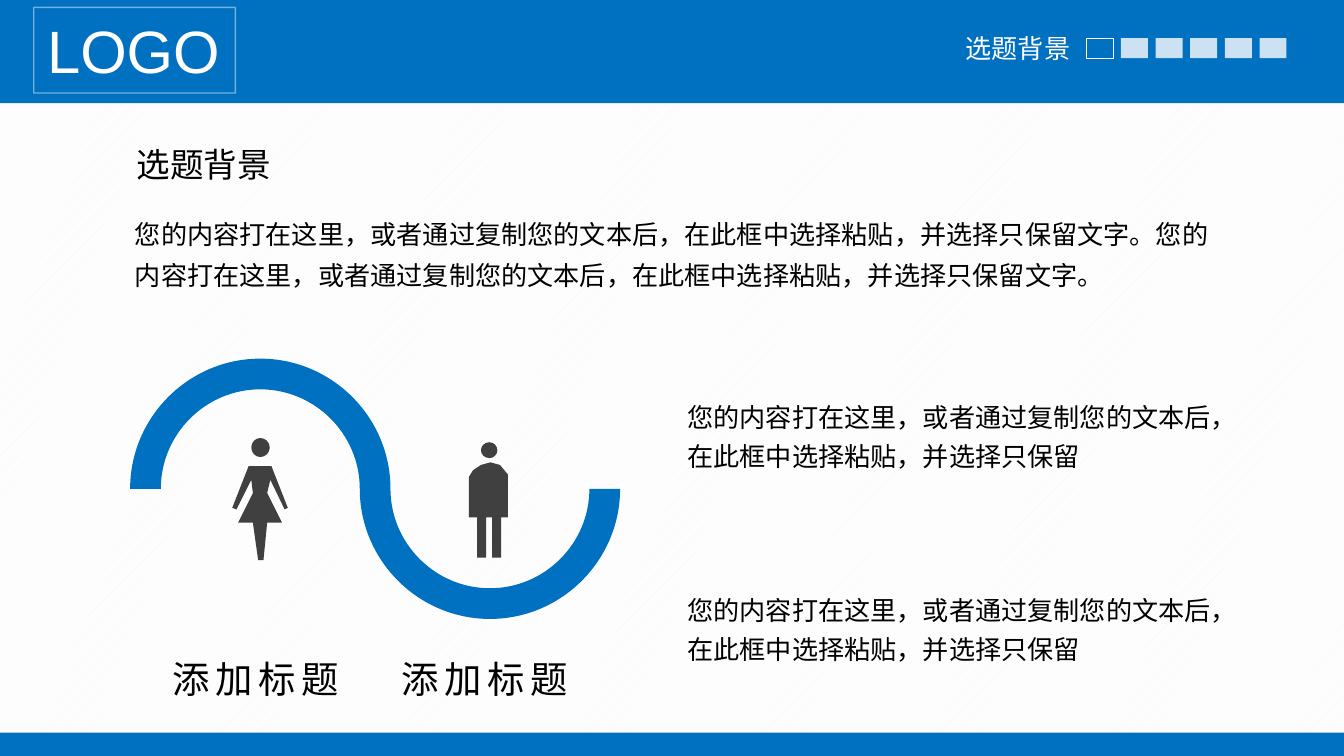
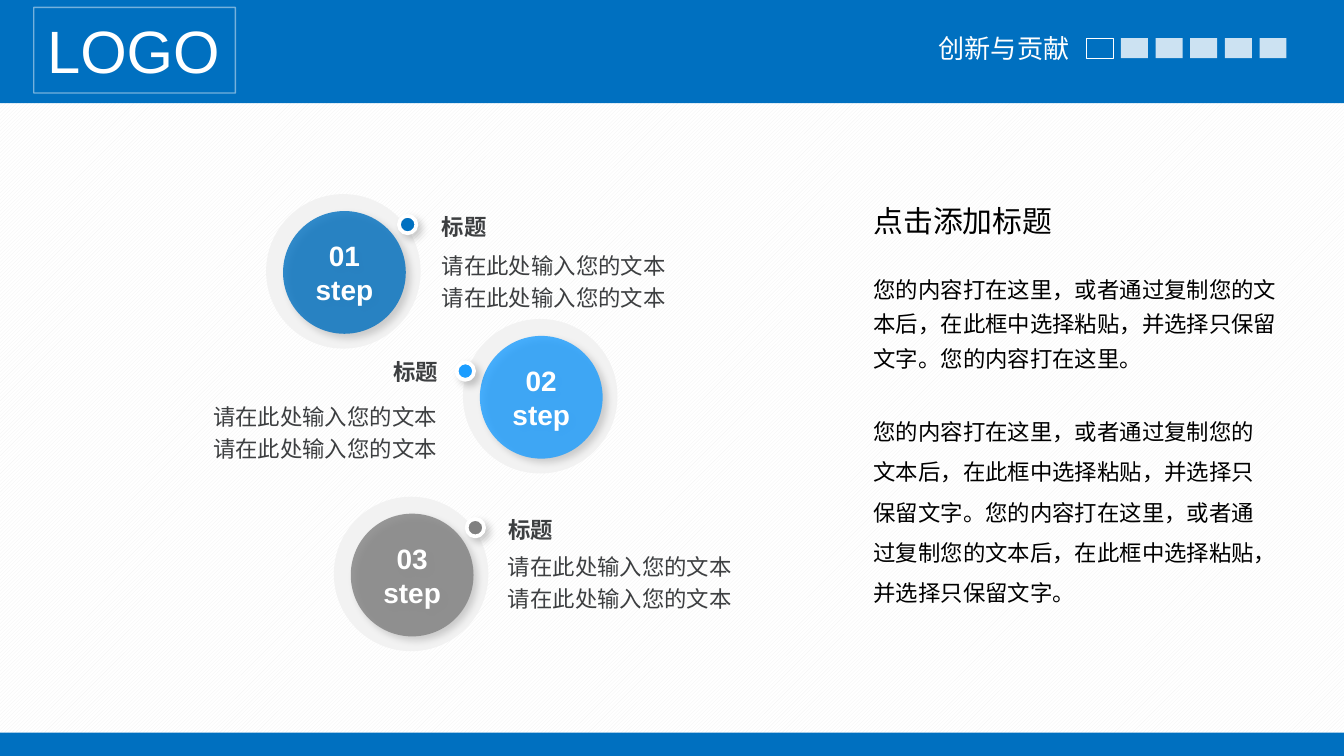
from lxml import etree
from pptx import Presentation
from pptx.dml.color import RGBColor
from pptx.enum.dml import MSO_PATTERN
from pptx.enum.shapes import MSO_SHAPE
from pptx.enum.text import MSO_ANCHOR, MSO_AUTO_SIZE, PP_ALIGN
from pptx.oxml.ns import qn
from pptx.util import Cm, Pt

RECT, OVAL = MSO_SHAPE.RECTANGLE, MSO_SHAPE.OVAL
LEFT, CENTER, RIGHT = PP_ALIGN.LEFT, PP_ALIGN.CENTER, PP_ALIGN.RIGHT
TOP, MIDDLE = MSO_ANCHOR.TOP, MSO_ANCHOR.MIDDLE
FIT, FIXED = MSO_AUTO_SIZE.SHAPE_TO_FIT_TEXT, MSO_AUTO_SIZE.NONE
DIAGONAL = MSO_PATTERN.LIGHT_UPWARD_DIAGONAL

FONT = "Arial"
COLORS = {
    "blue": "0070C0",
    "sky": "1B9DFF",
    "gray": "808080",
    "pale": "F2F2F2",
    "dark": "404040",
    "slate": "3D3F41",
    "black": "000000",
    "white": "FFFFFF",
}
RGB = {name: RGBColor.from_string(value) for name, value in COLORS.items()}
WIDTH, HEIGHT = 25.4, 14.29


def figure(page, kind, at, fill=None, line=None, weight=0.75, alpha=100, shadow=False):
    shape = page.shapes.add_shape(kind, *map(Cm, at))
    shape.shadow.inherit = False
    if fill:
        shape.fill.solid()
        shape.fill.fore_color.rgb = RGB[fill]
    else:
        shape.fill.background()
    if line:
        shape.line.color.rgb = RGB[line]
        shape.line.width = Pt(weight)
    else:
        shape.line.fill.background()
    properties = shape._element.spPr
    if alpha < 100:
        for color in properties.iter(qn("a:srgbClr")):
            etree.SubElement(color, qn("a:alpha"), val=str(alpha * 1000))
    if shadow:
        effects = properties.find(qn("a:effectLst"))
        outer = etree.SubElement(effects, qn("a:outerShdw"), blurRad=str(Pt(4)),
                                 dist=str(Pt(3)), dir="2700000", algn="tl", rotWithShape="0")
        color = etree.SubElement(outer, qn("a:srgbClr"), val=COLORS["black"])
        etree.SubElement(color, qn("a:alpha"), val="20000")
    return shape


def write(box, lines, size, color="black", bold=False, align=LEFT, anchor=TOP,
          spacing=None, inset=(0.25, 0.13), wrap=True, fit=FIXED, tracking=0):
    frame = box.text_frame
    frame.word_wrap = wrap
    frame.auto_size = fit
    frame.vertical_anchor = anchor
    frame.margin_left = frame.margin_right = Cm(inset[0])
    frame.margin_top = frame.margin_bottom = Cm(inset[1])
    for index, line in enumerate(lines):
        para = frame.add_paragraph() if index else frame.paragraphs[0]
        para.alignment = align
        if spacing:
            para.line_spacing = spacing
        span = para.add_run()
        span.text = line
        span.font.name = FONT
        span.font.size = Pt(size)
        span.font.bold = bold
        span.font.color.rgb = RGB[color]
        if tracking:
            span._r.get_or_add_rPr().set("spc", str(tracking * 100))


deck = Presentation()
deck.slide_width, deck.slide_height = Cm(WIDTH), Cm(HEIGHT)
pages = [deck.slides.add_slide(deck.slide_layouts[6]) for section in range(2)]
background_page, steps_page = pages

for top, height in ((0, 1.95), (13.85, 0.44)):
    band = figure(background_page, RECT, (0, top, WIDTH, height), "blue")
    deck.slide_master.shapes._spTree.append(band._element)

for page, section in zip(pages, ("选题背景", "创新与贡献")):
    backdrop = page.background.fill
    backdrop.patterned()
    backdrop.pattern = DIAGONAL
    backdrop.fore_color.rgb = RGB["pale"]
    backdrop.back_color.rgb = RGB["white"]
    label_width = 0.5 + 0.51 * len(section)
    label = page.shapes.add_textbox(Cm(20.54 - label_width), Cm(0.48), Cm(label_width), Cm(0.86))
    write(label, [section], 14, "white", wrap=False, fit=FIT)
    for step in range(6):
        at = (20.53 + 0.655 * step, 0.72, 0.51, 0.38)
        if step:
            figure(page, RECT, at, "white", alpha=80)
        else:
            figure(page, RECT, at, line="white", weight=0.5)
    badge = figure(page, RECT, (0.64, 0.14, 3.81, 1.62), line="white", alpha=46)
    write(badge, ["LOGO"], 32, "white", wrap=False, fit=FIT)

SENTENCE = "您的内容打在这里，或者通过复制您的文本后，在此框中选择粘贴，并选择只保留文字。"
box = background_page.shapes.add_textbox(Cm(2.3), Cm(3.82), Cm(20.83), Cm(1.8))
write(box, [SENTENCE * 2], 14, spacing=1.3, fit=FIT)
box = background_page.shapes.add_textbox(Cm(2.33), Cm(2.59), Cm(3.07), Cm(1.02))
write(box, ["选题背景"], 18, wrap=False, fit=FIT)

OUTER, INNER, AXIS = 2.46, 1.88, 9.24
ARCH = 4.92
BOWL = ARCH + OUTER + INNER
wave = [
    (ARCH - OUTER, AXIS), (ARCH, AXIS - OUTER, "rise"), (ARCH + OUTER, AXIS, "run"),
    (BOWL, AXIS + INNER, "rise"), (BOWL + INNER, AXIS, "run"), (BOWL + OUTER, AXIS),
    (BOWL, AXIS + OUTER, "rise"), (BOWL - OUTER, AXIS, "run"),
    (ARCH, AXIS - INNER, "rise"), (ARCH - INNER, AXIS, "run"),
]
man_body = [
    (9.6, 9.78), (9.47, 9.78), (9.47, 10.54), (9.3, 10.54), (9.3, 9.78), (9.19, 9.78),
    (9.19, 10.54), (9.02, 10.54), (9.02, 9.78), (8.86, 9.78), (8.86, 9.02), (8.94, 8.89),
    (9.09, 8.79), (9.27, 8.74), (9.45, 8.79), (9.6, 8.97),
]
man_head = [
    (9.4, 8.51), (9.25, 8.66, "rise"), (9.09, 8.51, "run"),
    (9.25, 8.36, "rise"), (9.4, 8.51, "run"),
]
woman_body = [
    (5.38, 9.63), (5.44, 9.6), (5.13, 8.81), (4.7, 8.81), (4.39, 9.6), (4.47, 9.63),
    (4.75, 9.07), (4.78, 9.32), (4.5, 9.88), (4.78, 9.88), (4.88, 10.59), (4.98, 10.59),
    (5.05, 9.88), (5.33, 9.88), (5.05, 9.32), (5.11, 9.07),
]
woman_head = [
    (5.1, 8.46), (4.92, 8.64, "rise"), (4.75, 8.46, "run"),
    (4.92, 8.28, "rise"), (5.1, 8.46, "run"),
]
BEND = 0.55
for outlines, color in (
    ([wave], "blue"),
    ([man_body, man_head], "dark"),
    ([woman_body, woman_head], "dark"),
):
    builder = None
    for outline in outlines:
        corners = [(Cm(point[0]), Cm(point[1])) for point in outline]
        if builder:
            builder.move_to(*corners[0])
        else:
            builder = background_page.shapes.build_freeform(*corners[0])
        builder.add_line_segments(corners[1:], close=True)
    shape = builder.convert_to_shape()
    shape.shadow.inherit = False
    shape.fill.solid()
    shape.fill.fore_color.rgb = RGB[color]
    shape.line.fill.background()

    vertices = list(shape._element.iter(qn("a:pt")))
    bends = [point[2] if len(point) > 2 else None for outline in outlines for point in outline]
    places = [(int(vertex.get("x")), int(vertex.get("y"))) for vertex in vertices]
    for index, (vertex, bend) in enumerate(zip(vertices, bends)):
        if not bend:
            continue
        (x1, y1), (x2, y2) = places[index - 1], places[index]
        dx, dy = BEND * (x2 - x1), BEND * (y2 - y1)
        if bend == "rise":
            controls = (x1, y1 + dy), (x2 - dx, y2)
        else:
            controls = (x1 + dx, y1), (x2, y2 - dy)
        segment = vertex.getparent()
        curve = etree.Element(qn("a:cubicBezTo"))
        for x, y in (*controls, (x2, y2)):
            etree.SubElement(curve, qn("a:pt"), x=str(round(x)), y=str(round(y)))
        segment.getparent().replace(segment, curve)

for left in (7.27, 2.95):
    box = background_page.shapes.add_textbox(Cm(left), Cm(12.27), Cm(3.78), Cm(1.12))
    write(box, ["添加标题"], 20, align=CENTER, wrap=False, fit=FIT, tracking=3)

TIGHT = (0.18, 0.1)
for top in (7.34, 10.99):
    box = background_page.shapes.add_textbox(Cm(12.81), Cm(top), Cm(10.9), Cm(1.7))
    write(box, ["您的内容打在这里，或者通过复制您的文本后，在此框中选择粘贴，并选择只保留"],
          14, spacing=Pt(21), inset=TIGHT)

for top, width, height, text, size, spacing in (
    (4.96, 8.41, 2.87, SENTENCE + "您的内容打在这里。", 12, 1.3),
    (7.55, 8, 4.83, SENTENCE * 2, 12, 1.5),
    (3.74, 3.99, 0.89, "点击添加标题", 16, None),
):
    box = steps_page.shapes.add_textbox(Cm(16.31), Cm(top), Cm(width), Cm(height))
    write(box, [text], size, spacing=spacing, inset=(0.2, 0.1), fit=FIT)

RING, DISC, DOT, RIM = 2.92, 2.32, 0.33, 0.32
for number, color, ring, dot, title, body, align in (
    ("01", "blue", (5.03, 3.67), (7.54, 4.08), (8.17, 3.96), (8.17, 4.57), LEFT),
    ("02", "sky", (8.75, 6.03), (8.63, 6.85), (2.39, 6.71), (0.13, 7.42), RIGHT),
    ("03", "gray", (6.31, 9.39), (8.82, 9.81), (9.43, 9.7), (9.42, 10.26), LEFT),
):
    figure(steps_page, OVAL, (*ring, RING, RING), "pale")
    disc = figure(steps_page, OVAL, (ring[0] + RIM, ring[1] + RIM, DISC, DISC),
                  color, alpha=80, shadow=True)
    write(disc, [number, "step"], 15, "white", True, CENTER, MIDDLE, inset=TIGHT)
    figure(steps_page, OVAL, (*dot, DOT, DOT), color, "white", 2, shadow=True)
    box = steps_page.shapes.add_textbox(*map(Cm, (*title, 6.07, 0.64)))
    write(box, ["标题"], 12, "slate", True, align, MIDDLE, inset=TIGHT)
    box = steps_page.shapes.add_textbox(*map(Cm, (*body, 8.31, 1.37)))
    write(box, ["请在此处输入您的文本"] * 2, 12, "slate", align=align, spacing=1.2, inset=TIGHT)

deck.save("out.pptx")
